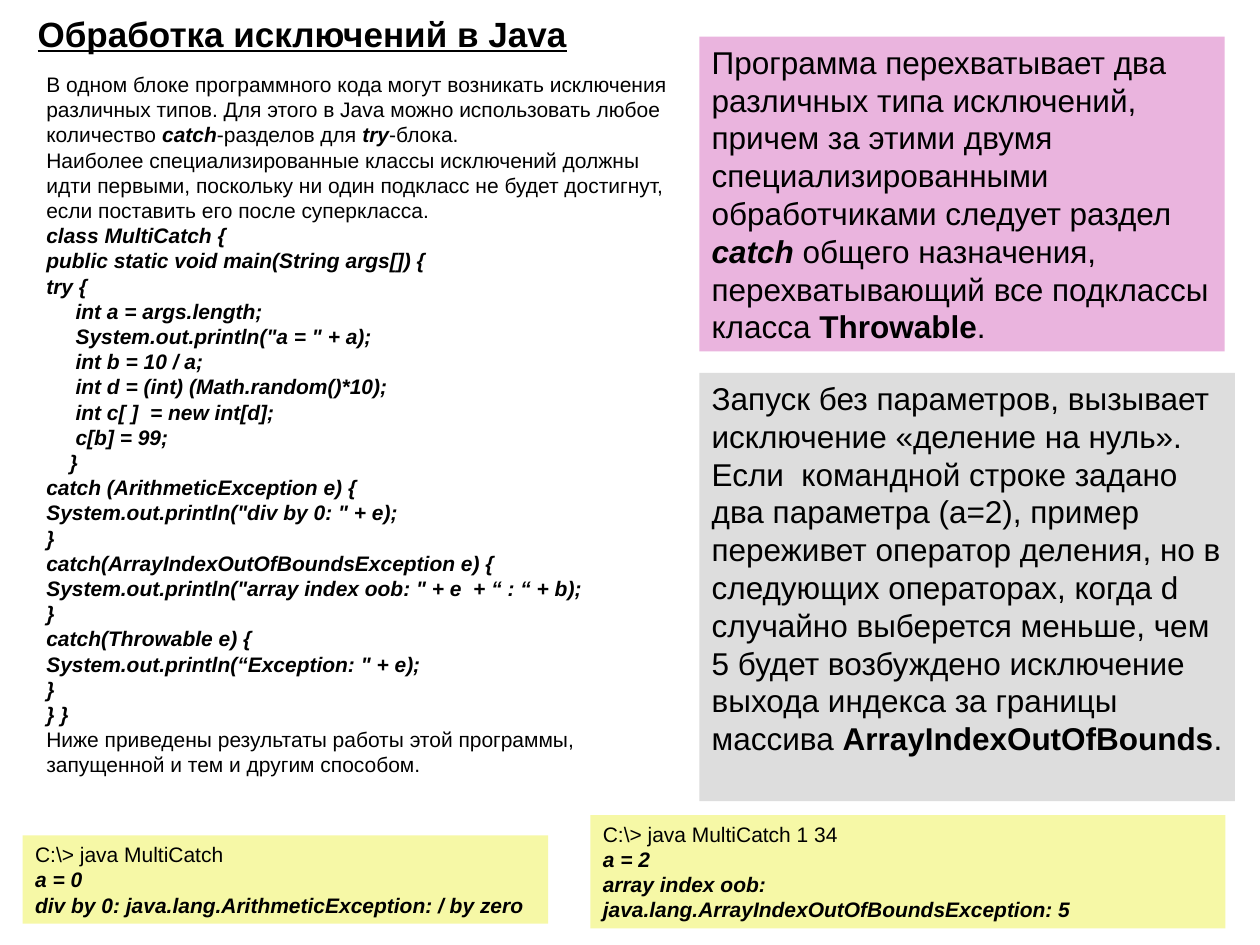
from dataclasses import dataclass
from typing import Optional

from pptx import Presentation
from pptx.dml.color import RGBColor
from pptx.enum.shapes import MSO_SHAPE
from pptx.enum.text import MSO_ANCHOR, MSO_AUTO_SIZE, PP_ALIGN
from pptx.util import Pt

RECTANGLE = MSO_SHAPE.RECTANGLE
TOP = MSO_ANCHOR.TOP
LEFT = PP_ALIGN.LEFT
GROW = MSO_AUTO_SIZE.SHAPE_TO_FIT_TEXT

BLACK = RGBColor(0x00, 0x00, 0x00)
PINK = RGBColor(0xEA, 0xB4, 0xDE)
GREY = RGBColor(0xDD, 0xDD, 0xDD)
YELLOW = RGBColor(0xF6, 0xF8, 0xA6)

FONT = "Arial"
BODY_INDENT = 16.7
BRACE_INDENT = 13.3


@dataclass(frozen=True)
class Span:
    text: str
    bold: bool = False
    italic: bool = False
    underline: bool = False


@dataclass(frozen=True)
class Line:
    spans: tuple[Span, ...]
    indent: float = 0


@dataclass(frozen=True)
class Panel:
    """A block of text; lengths are in points."""
    left: float
    top: float
    width: float
    height: float
    size: float
    lines: tuple[Line, ...]
    fill: Optional[RGBColor] = None
    space_before: float = 0


def prose(*spans: Span) -> Line:
    return Line(spans)


def code(text: str, indent: float = 0) -> Line:
    return Line((Span(text, bold=True, italic=True),), indent)


def keyword(text: str) -> Span:
    return Span(text, bold=True, italic=True)


LESSON = (
    prose(
        Span("В одном блоке программного кода могут возникать исключения различных типов. "
             "Для этого в Java можно использовать любое количество "),
        keyword("catch"),
        Span("-разделов для "),
        keyword("try"),
        Span("-блока."),
    ),
    prose(Span("Наиболее специализированные классы исключений должны идти первыми, поскольку "
               "ни один подкласс не будет достигнут, если поставить его после суперкласса.")),
    code("class MultiCatch {"),
    code("public static void main(String args[]) {"),
    code("try {"),
    code("int a = args.length;", BODY_INDENT),
    code('System.out.println("a = " + a);', BODY_INDENT),
    code("int b = 10 / a;", BODY_INDENT),
    code("int d = (int) (Math.random()*10);", BODY_INDENT),
    code("int c[ ]  = new int[d];", BODY_INDENT),
    code("c[b] = 99;", BODY_INDENT),
    code("}", BRACE_INDENT),
    code("catch (ArithmeticException e) {"),
    code('System.out.println("div by 0: " + e);'),
    code("}"),
    code("catch(ArrayIndexOutOfBoundsException e) {"),
    code('System.out.println("array index oob: " + e  + “ : “ + b);'),
    code("}"),
    code("catch(Throwable e) {"),
    code('System.out.println(“Exception: " + e);'),
    code("}"),
    code("} }"),
    prose(Span("Ниже приведены результаты работы этой программы, "
               "запущенной и тем и другим способом.")),
)

HANDLERS = (
    prose(
        Span("Программа перехватывает два различных типа исключений, причем за этими двумя "
             "специализированными обработчиками следует раздел "),
        keyword("catch"),
        Span(" общего назначения, перехватывающий все подклассы класса "),
        Span("Throwable", bold=True),
        Span("."),
    ),
)

OUTCOMES = (
    prose(
        Span("Запуск без параметров, вызывает исключение «деление на нуль». Если  командной "
             "строке задано два параметра (а=2), пример переживет оператор деления, но в "
             "следующих операторах, когда d случайно выберется меньше, чем 5 будет "
             "возбуждено исключение выхода индекса за границы массива "),
        Span("ArrayIndexOutOfBounds", bold=True),
        Span("."),
    ),
)

RUN_WITHOUT_ARGUMENTS = (
    prose(Span("С:\\> java MultiCatch")),
    code("а = 0"),
    code("div by 0: java.lang.ArithmeticException: / by zero"),
)

RUN_WITH_ARGUMENTS = (
    prose(Span("C:\\> java MultiCatch 1 34")),
    code("a = 2"),
    code("array index oob: java.lang.ArrayIndexOutOfBoundsException: 5"),
)

TITLE = (prose(Span("Обработка исключений в Java", bold=True, underline=True)),)

PANELS = (
    Panel(14.4, 3.6, 572.4, 31.7, 20, TITLE, space_before=12.5),
    Panel(19.4, 37.4, 380.2, 410.4, 12, LESSON),
    Panel(399.6, 20.9, 300.2, 180, 18, HANDLERS, PINK),
    Panel(399.6, 213.1, 306, 244.8, 18, OUTCOMES, GREY, space_before=11.2),
    Panel(13, 477.4, 300.2, 50.4, 12, RUN_WITHOUT_ARGUMENTS, YELLOW),
    Panel(337.4, 465.8, 362.9, 64.8, 12, RUN_WITH_ARGUMENTS, YELLOW),
)


def write_line(para, line: Line, panel: Panel) -> None:
    para.alignment = LEFT
    para.space_before = Pt(panel.space_before)
    if line.indent:
        para._p.get_or_add_pPr().set("marL", str(Pt(line.indent)))
    for span in line.spans:
        run = para.add_run()
        run.text = span.text
        font = run.font
        font.name = FONT
        font.size = Pt(panel.size)
        font.color.rgb = BLACK
        font.bold = span.bold
        font.italic = span.italic
        font.underline = span.underline


def draw_panel(page, panel: Panel) -> None:
    """Draw a filled rectangle, or a plain text box when there is no fill."""
    place = (Pt(panel.left), Pt(panel.top), Pt(panel.width), Pt(panel.height))
    if panel.fill is None:
        box = page.shapes.add_textbox(*place)
    else:
        box = page.shapes.add_shape(RECTANGLE, *place)
        box.shadow.inherit = False
        box.fill.solid()
        box.fill.fore_color.rgb = panel.fill
        box.line.fill.background()
    frame = box.text_frame
    frame.word_wrap = True
    frame.auto_size = GROW
    frame.vertical_anchor = TOP
    for index, line in enumerate(panel.lines):
        para = frame.add_paragraph() if index else frame.paragraphs[0]
        write_line(para, line, panel)


def main() -> None:
    deck = Presentation()
    deck.slide_width, deck.slide_height = Pt(720), Pt(540)
    page = deck.slides.add_slide(deck.slide_layouts[6])
    for panel in PANELS:
        draw_panel(page, panel)
    deck.save("out.pptx")


if __name__ == "__main__":
    main()
